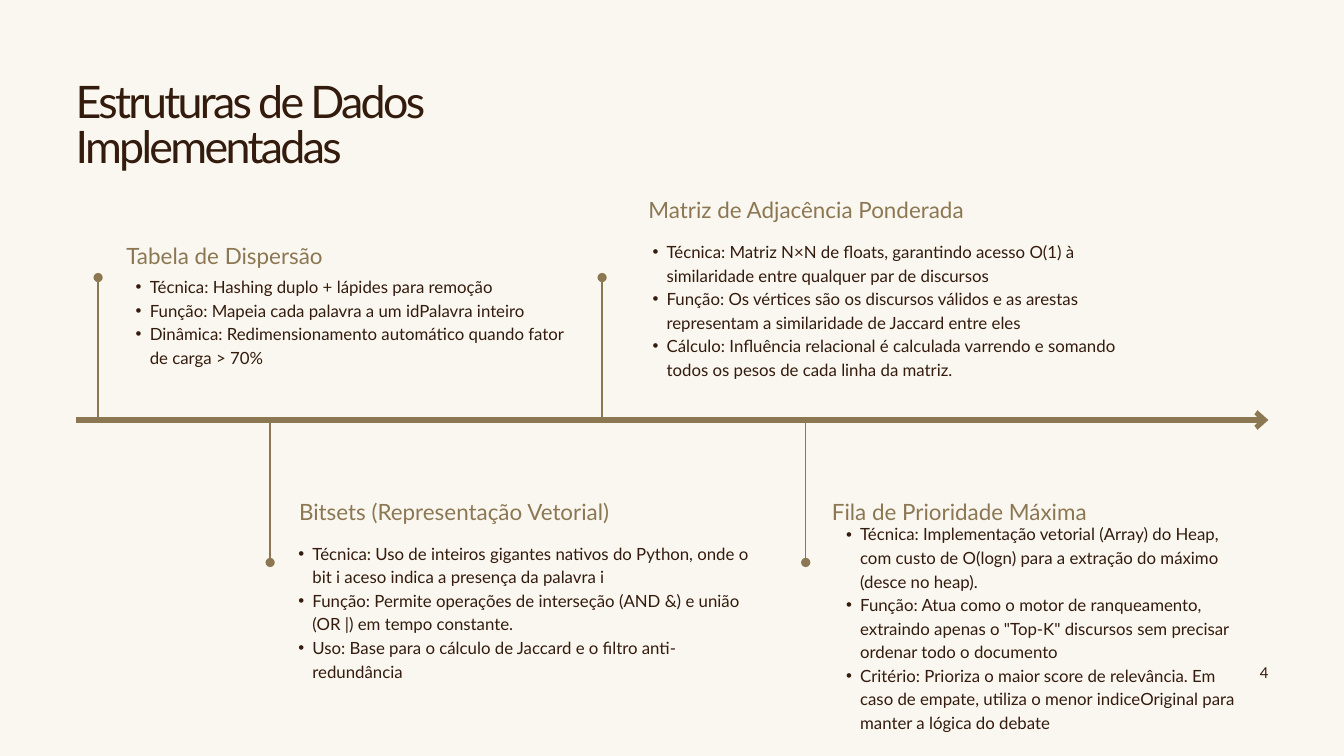
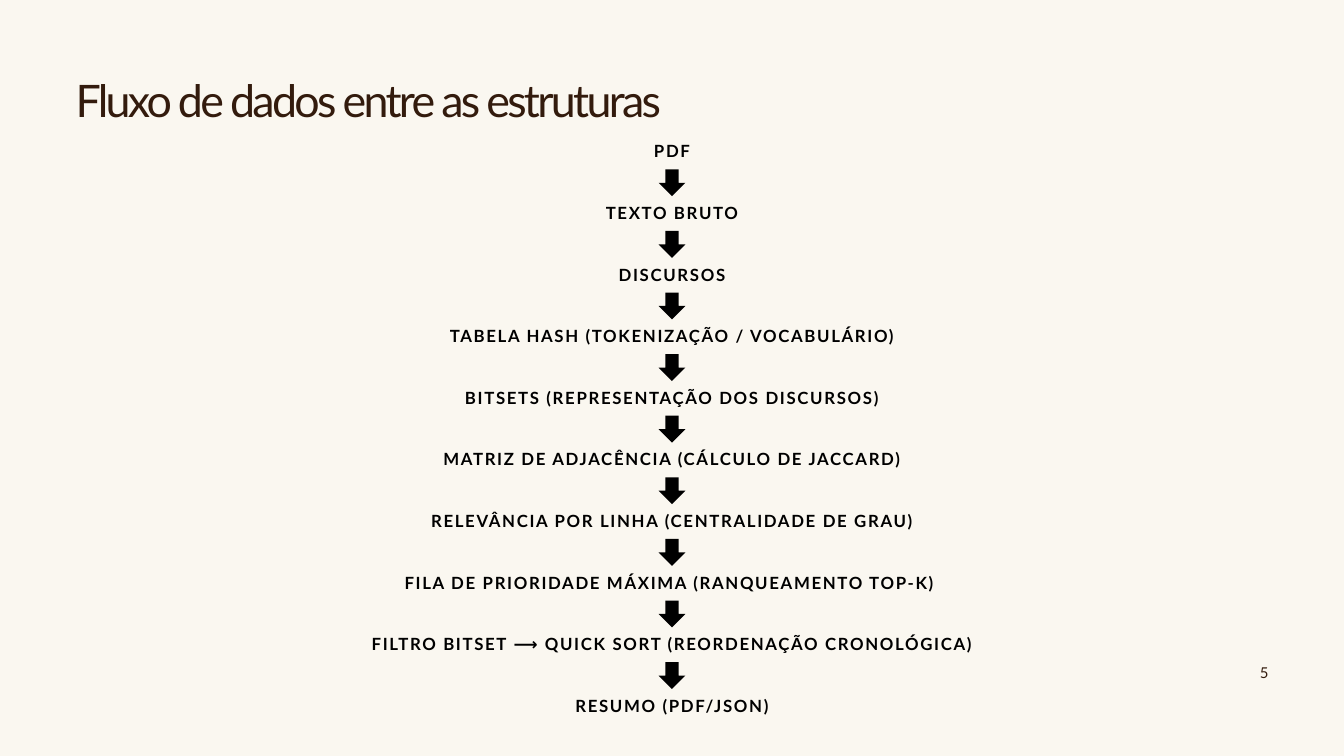
from lxml.etree import SubElement
from pptx import Presentation
from pptx.dml.color import RGBColor
from pptx.enum.shapes import MSO_CONNECTOR, MSO_SHAPE
from pptx.enum.text import MSO_AUTO_SIZE, PP_ALIGN
from pptx.oxml.ns import qn
from pptx.util import Inches, Pt

COLUMNS, ROWS = 20, 11.25
CELL = Inches(1)
LEFT_EDGE = ROWS / 10
RIGHT_EDGE = COLUMNS - LEFT_EDGE

CREAM = RGBColor(0xFA, 0xF7, 0xF0)
BROWN = RGBColor(0x33, 0x1B, 0x0D)
GOLD = RGBColor(0x8C, 0x77, 0x53)
BLACK = RGBColor(0, 0, 0)

TITLE = {"size": Pt(48), "name": "Lato", "color": BROWN}
HEADING = {"size": Pt(24), "name": "Lato", "color": GOLD}
BODY = {"size": Pt(18), "name": "Lato", "color": BROWN}
STEP = {"size": Pt(18), "name": "Lato", "color": BLACK, "bold": True}
PAGE_NUMBER = {"size": Pt(16), "name": "Lato", "color": BROWN}

ARROW_END = {"type": "arrow", "w": "med", "len": "sm"}
DOT_END = {"type": "oval", "w": "lg", "len": "lg"}

AXIS_ROW = 6.25
STEM_ROWS = 2.12

STRUCTURES = [
    {
        "heading": "Tabela de Dispersão",
        "heading_at": (1.88, 3.54, 4.21),
        "points_at": (1.81, 4.07, 6.63, 1.71),
        "stem": (1.46, -STEM_ROWS),
        "points": [
            "Técnica: Hashing duplo + lápides para remoção",
            "Função: Mapeia cada palavra a um idPalavra inteiro",
            "Dinâmica: Redimensionamento automático quando fator de carga > 70%",
        ],
    },
    {
        "heading": "Bitsets (Representação Vetorial)",
        "heading_at": (4.45, 7.34, 6.11),
        "points_at": (4.23, 8.04, 7.04, 2.4),
        "stem": (4.02, STEM_ROWS),
        "points": [
            "Técnica: Uso de inteiros gigantes nativos do Python, onde o bit i aceso indica a presença da palavra i",
            "Função: Permite operações de interseção (AND &) e união (OR |) em tempo constante.",
            "Uso: Base para o cálculo de Jaccard e o filtro anti-redundância",
        ],
    },
    {
        "heading": "Matriz de Adjacência Ponderada",
        "heading_at": (9.65, 2.85, 5.44),
        "points_at": (9.5, 3.55, 7.53, 2.4),
        "stem": (8.96, -STEM_ROWS),
        "points": [
            "Técnica: Matriz N×N de floats, garantindo acesso O(1) à similaridade entre qualquer par de discursos",
            "Função: Os vértices são os discursos válidos e as arestas representam a similaridade de Jaccard entre eles",
            "Cálculo: Influência relacional é calculada varrendo e somando todos os pesos de cada linha da matriz.",
        ],
    },
    {
        "heading": "Fila de Prioridade Máxima",
        "heading_at": (12.38, 7.34, 4.76),
        "points_at": (12.38, 7.75, 6.04, 3.09),
        "stem": (11.99, STEM_ROWS),
        "points": [
            "Técnica: Implementação vetorial (Array) do Heap, com custo de O(logn) para a extração do máximo (desce no heap).",
            "Função: Atua como o motor de ranqueamento, extraindo apenas o \"Top-K\" discursos sem precisar ordenar todo o documento",
            "Critério: Prioriza o maior score de relevância. Em caso de empate, utiliza o menor indiceOriginal para manter a lógica do debate",
        ],
    },
]

FLOW = [
    ("PDF", 0.57, 0),
    ("TEXTO BRUTO", 2.08, 0),
    ("DISCURSOS", 1.75, 0),
    ("TABELA HASH (TOKENIZAÇÃO / VOCABULÁRIO)", 6.88, 0),
    ("BITSETS (REPRESENTAÇÃO DOS DISCURSOS)", 6.63, 0),
    ("MATRIZ DE ADJACÊNCIA (CÁLCULO DE JACCARD)", 7.11, 0),
    ("RELEVÂNCIA POR LINHA (CENTRALIDADE DE GRAU)", 7.45, 0),
    ("FILA DE PRIORIDADE MÁXIMA (RANQUEAMENTO TOP-K)", 8.19, -0.04),
    ("FILTRO BITSET ⟶ QUICK SORT (REORDENAÇÃO CRONOLÓGICA)", 9.39, 0),
    ("RESUMO (PDF/JSON)", 3.03, 0),
]
FLOW_FIRST, FLOW_LAST = 2.15, 10.4
ARROW_SIZE, ARROW_OFFSET = 0.4, 0.37


def cells(*lengths):
    return [round(length * CELL) for length in lengths]


def apply_format(font, values):
    for key, value in values.items():
        if key == "color":
            font.color.rgb = value
        else:
            setattr(font, key, value)


def add_bullet(paragraph):
    paragraph.level = 1
    properties = paragraph._p.get_or_add_pPr()
    for key, length in (("marL", 0.42), ("indent", -0.21)):
        properties.set(key, str(Inches(length)))
    SubElement(properties, qn("a:buFont")).set("typeface", "Arial")
    SubElement(properties, qn("a:buChar")).set("char", "•")


def add_text(slide, place, lines, style, leading, align=PP_ALIGN.LEFT, tracking=0, bulleted=False):
    frame = slide.shapes.add_textbox(*cells(*place)).text_frame
    settings = {"word_wrap": True, "auto_size": MSO_AUTO_SIZE.SHAPE_TO_FIT_TEXT}
    settings.update({f"margin_{side}": 0 for side in ("left", "top", "right", "bottom")})
    for key, value in settings.items():
        setattr(frame, key, value)
    for index, line in enumerate(lines):
        paragraph = frame.add_paragraph() if index else frame.paragraphs[0]
        paragraph.alignment = align
        paragraph.line_spacing = Pt(leading)
        if bulleted:
            add_bullet(paragraph)
        run = paragraph.add_run()
        run.text = line
        apply_format(run.font, style)
        if tracking:
            run._r.get_or_add_rPr().set("spc", str(round(tracking * 100)))


def add_line(slide, start, end, weight, ending):
    line = slide.shapes.add_connector(MSO_CONNECTOR.STRAIGHT, *cells(*start, *end))
    line.line.color.rgb = GOLD
    line.line.width = Pt(weight)
    SubElement(line.line._get_or_add_ln(), qn("a:tailEnd"), ending)
    SubElement(line._element.spPr, qn("a:effectLst"))


def add_structure(slide, structure):
    column, reach = structure["stem"]
    add_line(slide, (column, AXIS_ROW), (column, AXIS_ROW + reach), 1.5, DOT_END)
    add_text(slide, (*structure["heading_at"], 0.44), [structure["heading"]], HEADING, 33.6)
    add_text(slide, structure["points_at"], structure["points"], BODY, 25.19, bulleted=True)


def add_down_arrow(slide, row):
    arrow = slide.shapes.add_shape(
        MSO_SHAPE.DOWN_ARROW, *cells((COLUMNS - ARROW_SIZE) / 2, row, ARROW_SIZE, ARROW_SIZE)
    )
    arrow.shadow.inherit = False
    arrow.fill.solid()
    arrow.fill.fore_color.rgb = BLACK
    arrow.line.fill.background()


def add_flow(slide):
    pitch = (FLOW_LAST - FLOW_FIRST) / (len(FLOW) - 1)
    for index, (step, width, shift) in enumerate(FLOW):
        row = FLOW_FIRST + index * pitch
        place = ((COLUMNS - width) / 2 + shift, row, width, 0.27)
        add_text(slide, place, [step], STEP, 18, PP_ALIGN.CENTER, 1.79)
        if index < len(FLOW) - 1:
            add_down_arrow(slide, row + ARROW_OFFSET)


def add_slide(presentation, title, title_place, number):
    slide = presentation.slides.add_slide(presentation.slide_layouts[6])
    slide.background.fill.solid()
    slide.background.fill.fore_color.rgb = CREAM
    add_text(slide, (LEFT_EDGE, *title_place), [title], TITLE, 48, tracking=-2.88)
    number_width = 4.99
    number_place = (RIGHT_EDGE - number_width, 9.83, number_width, 0.3)
    add_text(slide, number_place, [str(number)], PAGE_NUMBER, 22.4, PP_ALIGN.RIGHT)
    return slide


def main():
    presentation = Presentation()
    presentation.slide_width, presentation.slide_height = cells(COLUMNS, ROWS)

    timeline = add_slide(presentation, "Estruturas de Dados Implementadas", (1.23, 8.88, 1.36), 4)
    add_line(timeline, (LEFT_EDGE, AXIS_ROW), (RIGHT_EDGE, AXIS_ROW), 6, ARROW_END)
    for structure in STRUCTURES:
        add_structure(timeline, structure)

    flow = add_slide(presentation, "Fluxo de dados entre as estruturas", (1.21, 16.76, 0.7), 5)
    add_flow(flow)

    presentation.save("out.pptx")


if __name__ == "__main__":
    main()
